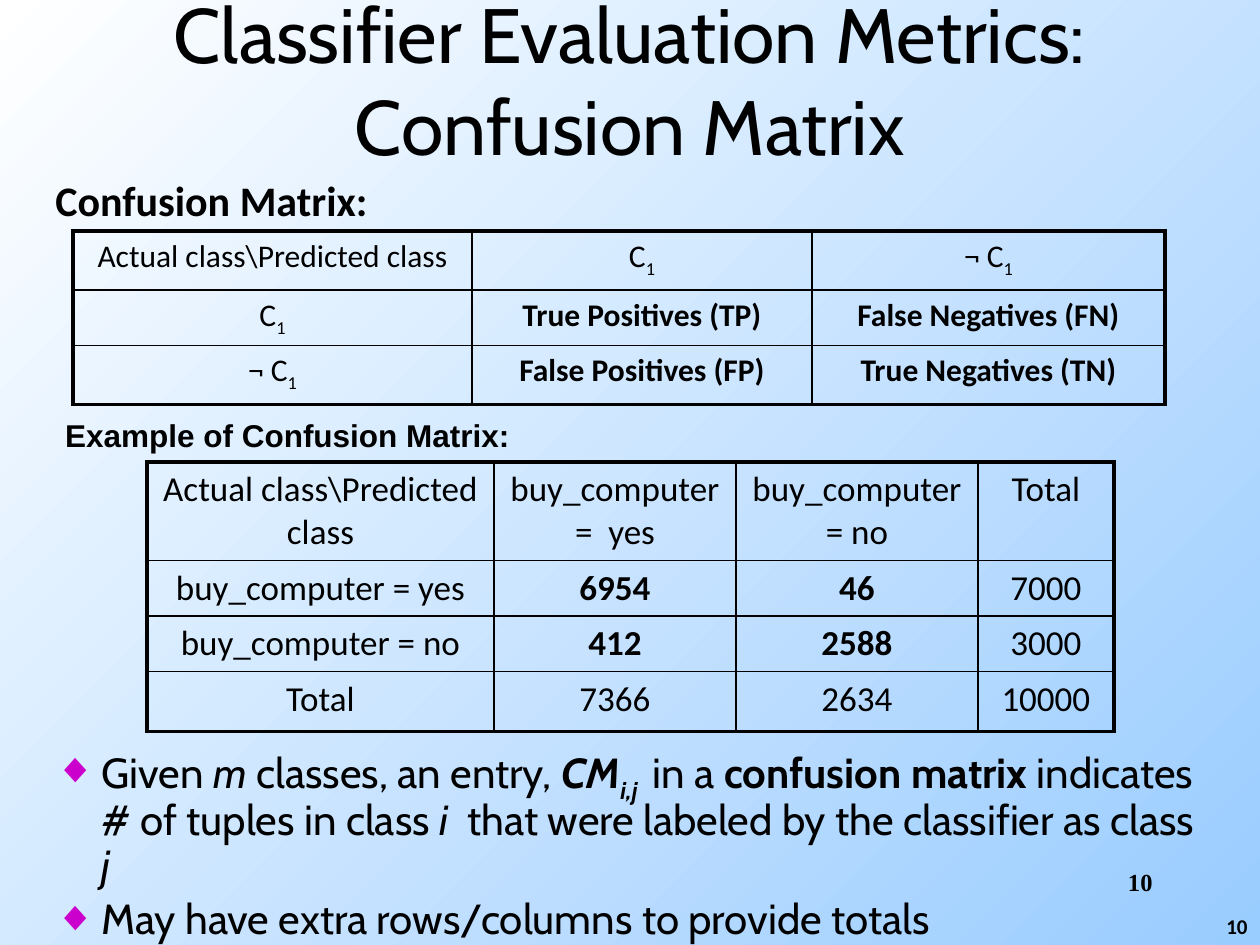
from pptx import Presentation
from pptx.dml.color import RGBColor
from pptx.enum.text import MSO_ANCHOR, MSO_AUTO_SIZE, PP_ALIGN
from pptx.oxml.ns import qn
from pptx.util import Emu, Pt
from lxml import etree

BLACK = RGBColor(0x00, 0x00, 0x00)
WHITE = RGBColor(0xFF, 0xFF, 0xFF)
SKY = RGBColor(0x99, 0xCC, 0xFF)
MAGENTA = RGBColor(0xCC, 0x00, 0xCC)

CENTER, RIGHT = PP_ALIGN.CENTER, PP_ALIGN.RIGHT
TOP, MIDDLE, BOTTOM = MSO_ANCHOR.TOP, MSO_ANCHOR.MIDDLE, MSO_ANCHOR.BOTTOM
FIXED, GROW = MSO_AUTO_SIZE.NONE, MSO_AUTO_SIZE.SHAPE_TO_FIT_TEXT

PX_PER_INCH = 126
OUTER_LINE, INNER_LINE = 2.25, 1

C1 = [("C", ""), ("1", "s")]
NOT_C1 = [("¬ C", ""), ("1", "s")]

CLASS_ROWS = [
    ["Actual class\\Predicted class", C1, NOT_C1],
    [C1, [("True Positives (TP)", "b")], [("False Negatives (FN)", "b")]],
    [NOT_C1, [("False Positives (FP)", "b")], [("True Negatives (TN)", "b")]],
]
EXAMPLE_ROWS = [
    ["Actual class\\Predicted class", "buy_computer =  yes", "buy_computer = no", "Total"],
    ["buy_computer = yes", [("6954", "b")], [("46", "b")], "7000"],
    ["buy_computer = no", [("412", "b")], [("2588", "b")], "3000"],
    ["Total", "7366", "2634", "10000"],
]
BULLETS = [
    [("Given", ""), (" m", "i"), (" classes, an entry, ", ""), ("CM", "bi"),
     ("i,j ", "bis"), (" in a ", ""), ("confusion matrix", "b"),
     (" indicates # of tuples in class ", ""), ("i", "i"),
     ("  that were labeled by the classifier as class ", ""), ("j", "i")],
    "May have extra rows/columns to provide totals",
]


def px(value):
    return Emu(round(value * 914400 / PX_PER_INCH))


def add_runs(paragraph, content, font_name, size):
    """Content is a string or (text, flags) pairs; flags: b bold, i italic, s subscript."""
    runs = [(content, "")] if isinstance(content, str) else content
    for text, flags in runs:
        run = paragraph.add_run()
        run.text = text
        run.font.name = font_name
        run.font.size = Pt(size)
        run.font.color.rgb = BLACK
        run.font.bold = "b" in flags
        run.font.italic = "i" in flags
        if "s" in flags:
            run.font._element.set("baseline", "-25000")


def place(shape, left, top, width, height):
    shape.left, shape.top = px(left), px(top)
    shape.width, shape.height = px(width), px(height)


def set_background(slide):
    fill = slide.background.fill
    fill.gradient()
    fill.gradient_angle = 315
    for stop, color in zip(fill.gradient_stops, (WHITE, SKY)):
        stop.color.rgb = color


def fill_title(title, text):
    place(title, 0, 0, 1260, 157)
    frame = title.text_frame
    frame.auto_size = FIXED
    frame.vertical_anchor = MIDDLE
    paragraph = frame.paragraphs[0]
    paragraph.alignment = CENTER
    add_runs(paragraph, text, "Cabin", 44)


def add_diamond_bullet(paragraph):
    properties = paragraph._p.get_or_add_pPr()
    properties.set("marL", str(px(47)))
    properties.set("indent", str(-px(47)))
    color = etree.SubElement(properties, qn("a:buClr"))
    etree.SubElement(color, qn("a:srgbClr"), val=str(MAGENTA))
    etree.SubElement(properties, qn("a:buChar"), char="◆")


def fill_body(body, items):
    place(body, 42, 741, 1166, 173)
    frame = body.text_frame
    frame.auto_size = FIXED
    frame.vertical_anchor = TOP
    for index, item in enumerate(items):
        paragraph = frame.add_paragraph() if index else frame.paragraphs[0]
        add_diamond_bullet(paragraph)
        paragraph.line_spacing = 0.9
        paragraph.space_before = Pt(5 if index else 0)
        add_runs(paragraph, item, "Cabin", 24)


def add_label(slide, box, text, font_name, size, alignment=CENTER,
              anchor=TOP, wrap=True, auto_size=FIXED):
    shape = slide.shapes.add_textbox(*map(px, box))
    frame = shape.text_frame
    frame.word_wrap = wrap
    frame.auto_size = auto_size
    frame.vertical_anchor = anchor
    paragraph = frame.paragraphs[0]
    paragraph.alignment = alignment
    add_runs(paragraph, [(text, "b")], font_name, size)


def set_borders(cell, outer_sides):
    properties = cell._tc.get_or_add_tcPr()
    for side in "LRTB":
        width = OUTER_LINE if side in outer_sides else INNER_LINE
        line = etree.SubElement(properties, qn(f"a:ln{side}"), w=str(Pt(width)))
        fill = etree.SubElement(line, qn("a:solidFill"))
        etree.SubElement(fill, qn("a:srgbClr"), val=str(BLACK))


def add_matrix(slide, left, top, widths, heights, rows, size):
    """Add a centred table with a heavy frame and thin inner lines."""
    last_row, last_column = len(heights) - 1, len(widths) - 1
    frame = slide.shapes.add_table(len(heights), len(widths), px(left), px(top),
                                   px(sum(widths)), px(sum(heights)))
    table = frame.table
    table.first_row = table.horz_banding = False
    for column, width in zip(table.columns, widths):
        column.width = px(width)
    for row, height in zip(table.rows, heights):
        row.height = px(height)
    for r, row in enumerate(rows):
        for c, content in enumerate(row):
            cell = table.cell(r, c)
            outer = {"L": c == 0, "R": c == last_column,
                     "T": r == 0, "B": r == last_row}
            set_borders(cell, [side for side, is_outer in outer.items() if is_outer])
            cell.fill.background()
            paragraph = cell.text_frame.paragraphs[0]
            paragraph.alignment = CENTER
            add_runs(paragraph, content, "Calibri", size)


def main():
    presentation = Presentation()
    presentation.slide_width, presentation.slide_height = px(1260), px(945)
    slide = presentation.slides.add_slide(presentation.slide_layouts[1])
    set_background(slide)
    fill_title(slide.shapes.title, "Classifier Evaluation Metrics: Confusion Matrix")
    add_matrix(slide, 147, 462, [347, 242, 242, 136], [97, 54, 54, 60],
               EXAMPLE_ROWS, 20)
    fill_body(slide.placeholders[1], BULLETS)
    add_label(slide, (32, 168, 359, 63), "Confusion Matrix:", "Calibri", 24,
              auto_size=GROW)
    add_matrix(slide, 73, 231, [399, 340, 353], [59, 53, 59], CLASS_ROWS, 18)
    add_label(slide, (42, 410, 491, 50), "Example of Confusion Matrix:", "Arial", 18,
              wrap=False, auto_size=GROW)
    add_label(slide, (998, 892, 262, 53), "10", "Calibri", 12, RIGHT, BOTTOM)
    add_label(slide, (903, 861, 262, 63), "10", "Times New Roman", 14, RIGHT)
    presentation.save("out.pptx")


if __name__ == "__main__":
    main()
